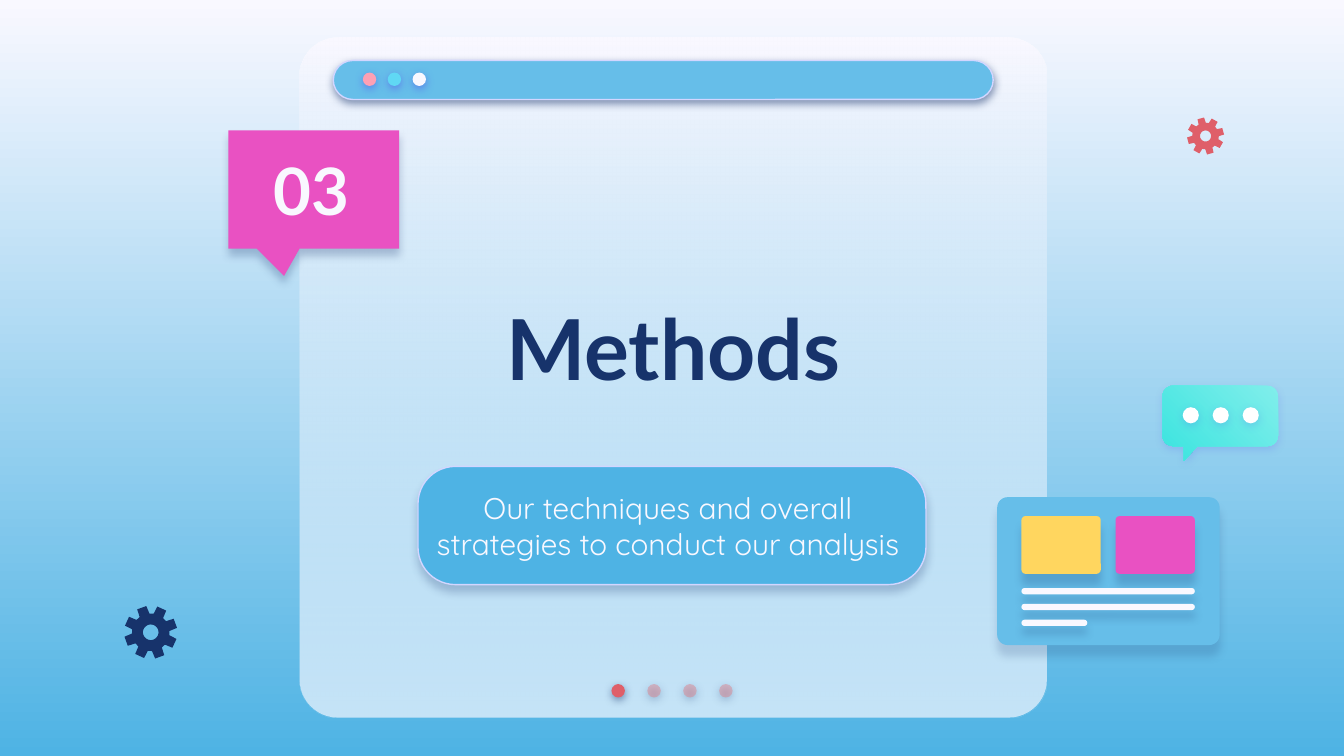
from math import cos, radians, sin

from lxml import etree
from pptx import Presentation
from pptx.dml.color import RGBColor
from pptx.enum.shapes import MSO_SHAPE
from pptx.enum.text import MSO_ANCHOR, PP_ALIGN
from pptx.oxml.ns import qn
from pptx.util import Inches, Pt

ROUNDED = MSO_SHAPE.ROUNDED_RECTANGLE
CALLOUT = MSO_SHAPE.RECTANGULAR_CALLOUT
ROUNDED_CALLOUT = MSO_SHAPE.ROUNDED_RECTANGULAR_CALLOUT
OVAL = MSO_SHAPE.OVAL
MIDDLE, BOTTOM = MSO_ANCHOR.MIDDLE, MSO_ANCHOR.BOTTOM
CENTER = PP_ALIGN.CENTER

COLORS = {
    "white": "F9F8FF", "pure": "FFFFFF", "blue": "4EB3E4", "sky": "66BEE9",
    "navy": "17336B", "lilac": "D2D6FF", "violet": "5352EE", "red": "DF5F69",
    "rose": "E27B83", "pink": "FDA0B4", "cyan": "60D8F4", "magenta": "E951C2",
    "yellow": "FFD65F", "mint": "81EEEB", "teal": "3AE4DF",
}
# Shadows fall straight down: colour, opacity in percent, distance in points
STRONG = ("navy", 50, 1.5)
GLOW = ("violet", 50, 1.5)
SOFT_GLOW = ("violet", 18, 1.5)
PANEL = ("navy", 17, 6)
TILE = ("navy", 20, 6)
RULE = ("navy", 21, 4.5)

# The grid has 100 columns and 56.25 rows of square cells
presentation = Presentation()
presentation.slide_width, presentation.slide_height = Inches(10), Inches(5.625)
CELL = presentation.slide_width / 100
slide = presentation.slides.add_slide(presentation.slide_layouts[6])


def style(shape, fill, shadow=None, alpha=None, line=None, angle=270):
    """Give a shape its fill (one colour or a gradient pair), line and shadow."""
    properties = shape._element.spPr
    if isinstance(fill, tuple):
        shape.fill.gradient()
        shape.fill.gradient_angle = angle
        for stop, name in zip(shape.fill.gradient_stops, fill):
            stop.color.rgb = RGBColor.from_string(COLORS[name])
    else:
        shape.fill.solid()
        shape.fill.fore_color.rgb = RGBColor.from_string(COLORS[fill])
    if alpha:
        last_color = list(properties.iter(qn("a:srgbClr")))[-1]
        etree.SubElement(last_color, qn("a:alpha"), val=str(alpha * 1000))
    if line:
        shape.line.color.rgb = RGBColor.from_string(COLORS[line])
        shape.line.width = Pt(0.75)
    else:
        shape.line.fill.background()
    shape.shadow.inherit = False
    if shadow:
        name, opacity, distance = shadow
        outer = etree.SubElement(
            properties.find(qn("a:effectLst")), qn("a:outerShdw"),
            blurRad=str(Pt(4.5)), dist=str(Pt(distance)), dir="5400000",
            algn="bl", rotWithShape="0")
        color = etree.SubElement(outer, qn("a:srgbClr"), val=COLORS[name])
        etree.SubElement(color, qn("a:alpha"), val=str(opacity * 1000))


def arc(column, row, radius, angles):
    """Points on a circle, clockwise from the right, in slide units."""
    return [((column + radius * cos(radians(a))) * CELL,
             (row + radius * sin(radians(a))) * CELL) for a in angles]


# Background
background = slide.background.fill
background.gradient()
background.gradient_angle = 270
for stop, name in zip(background.gradient_stops, ("white", "blue")):
    stop.color.rgb = RGBColor.from_string(COLORS[name])

# Window, pager, title bar, number callout, subtitle pill, page card
window = (22.3, 2.8, 55.6, 50.6)
parts = [
    (ROUNDED, window, [0.056], dict(fill=("white", "sky"), alpha=35)),
    *[(OVAL, (45.5 + 2.67 * i, 50.9, 1, 1), [],
       dict(fill="rose" if i else "red", alpha=44 if i else None, shadow=STRONG))
      for i in range(4)],
    (ROUNDED, (24.8, 4.5, 49.1, 2.9), [0.5],
     dict(fill="sky", line="lilac", shadow=STRONG)),
    *[(OVAL, (27 + 1.85 * i, 5.4, 1, 1), [], dict(fill=name, shadow=GLOW))
      for i, name in enumerate(("pink", "cyan", "white"))],
    (ROUNDED_CALLOUT, (17, 9.7, 12.7, 8.8), [-0.174, 0.731, 0],
     dict(fill="magenta", shadow=("navy", 25, 3.8))),
    (ROUNDED, (31.1, 34.7, 37.8, 8.8), [0.317],
     dict(fill="blue", line="lilac", shadow=("navy", 24, 3.8))),
    (ROUNDED, (74.2, 37, 16.55, 11), [0.07], dict(fill="sky", shadow=PANEL)),
    *[(ROUNDED, (76 + 7 * i, 38.4, 5.9, 4.3), [0.07], dict(fill=name, shadow=TILE))
      for i, name in enumerate(("yellow", "magenta"))],
    *[(ROUNDED, (76, 43.75 + 1.18 * i, width, 0.47), [0.5],
       dict(fill="white", shadow=RULE))
      for i, width in enumerate((12.9, 12.9, 4.9))],
]
# The translucent window lies on an opaque sheet of the same form
parts.insert(0, (ROUNDED, window, [0.056], dict(fill="white")))
for kind, box, adjustments, look in parts:
    shape = slide.shapes.add_shape(kind, *[int(value * CELL) for value in box])
    for index, value in enumerate(adjustments):
        shape.adjustments[index] = value
    style(shape, **look)

# Chat bubble: rounded corners and a small tail
left, top, right, bottom, radius = 86.5, 28.7, 95.1, 33.2, 0.8
outline = []
for column, row, start in (
        (left + radius, top + radius, 180), (right - radius, top + radius, 270),
        (right - radius, bottom - radius, 0), (left + radius, bottom - radius, 90)):
    if start == 90:
        outline += [(x * CELL, y * CELL)
                    for x, y in ((89.1, bottom), (88.1, 34.3), (88.1, bottom))]
    outline += arc(column, row, radius, range(start, start + 91, 10))
builder = slide.shapes.build_freeform(*outline[0], scale=1.0)
builder.add_line_segments(outline[1:], close=True)
style(builder.convert_to_shape(), ("mint", "teal"), SOFT_GLOW, angle=225)
for i in range(3):
    dot = slide.shapes.add_shape(
        OVAL, *[int(value * CELL) for value in (88 + 2.23 * i, 30.3, 1.2, 1.2)])
    style(dot, "pure", SOFT_GLOW)

# Gears: eight teeth round a hole
for column, row, outer, root, hole, turn, name in (
        (11.22, 47.05, 1.98, 1.4, 0.58, 25, "navy"),
        (89.7, 10.12, 1.38, 0.99, 0.41, 30, "red")):
    teeth = []
    for tooth in range(turn, turn + 360, 45):
        teeth += arc(column, row, root, [tooth - 16])
        teeth += arc(column, row, outer, [tooth - 10.5, tooth + 10.5])
        teeth += arc(column, row, root, [tooth + 16])
    rim = arc(column, row, hole, range(360, 0, -10))
    builder = slide.shapes.build_freeform(*teeth[0], scale=1.0)
    builder.add_line_segments(teeth[1:], close=True)
    builder.move_to(*rim[0])
    builder.add_line_segments(rim[1:], close=True)
    style(builder.convert_to_shape(), name)

# Texts
for text, box, anchor, color, space, font in (
        ("Methods", (27.1, 16.7, 46, 18.2), MIDDLE, "navy", 0,
         dict(name="Lato", size=Pt(45), bold=True)),
        ("Our techniques and overall strategies to conduct our analysis",
         (31.3, 35.2, 36.8, 7.8), MIDDLE, "white", 12,
         dict(name="Quicksand", size=Pt(16), bold=False)),
        ("03", (17.9, 10.2, 10.6, 7.8), BOTTOM, "white", 0,
         dict(name="Lato", size=Pt(35), bold=True))):
    frame = slide.shapes.add_textbox(*[int(value * CELL) for value in box]).text_frame
    layout = dict(word_wrap=True, vertical_anchor=anchor)
    layout.update({f"margin_{side}": Inches(0.1)
                   for side in ("left", "top", "right", "bottom")})
    for key, value in layout.items():
        setattr(frame, key, value)
    paragraph = frame.paragraphs[0]
    paragraph.alignment = CENTER
    paragraph.space_after = Pt(space)
    run = paragraph.add_run()
    run.text = text
    for key, value in font.items():
        setattr(run.font, key, value)
    run.font.color.rgb = RGBColor.from_string(COLORS[color])

presentation.save("out.pptx")
